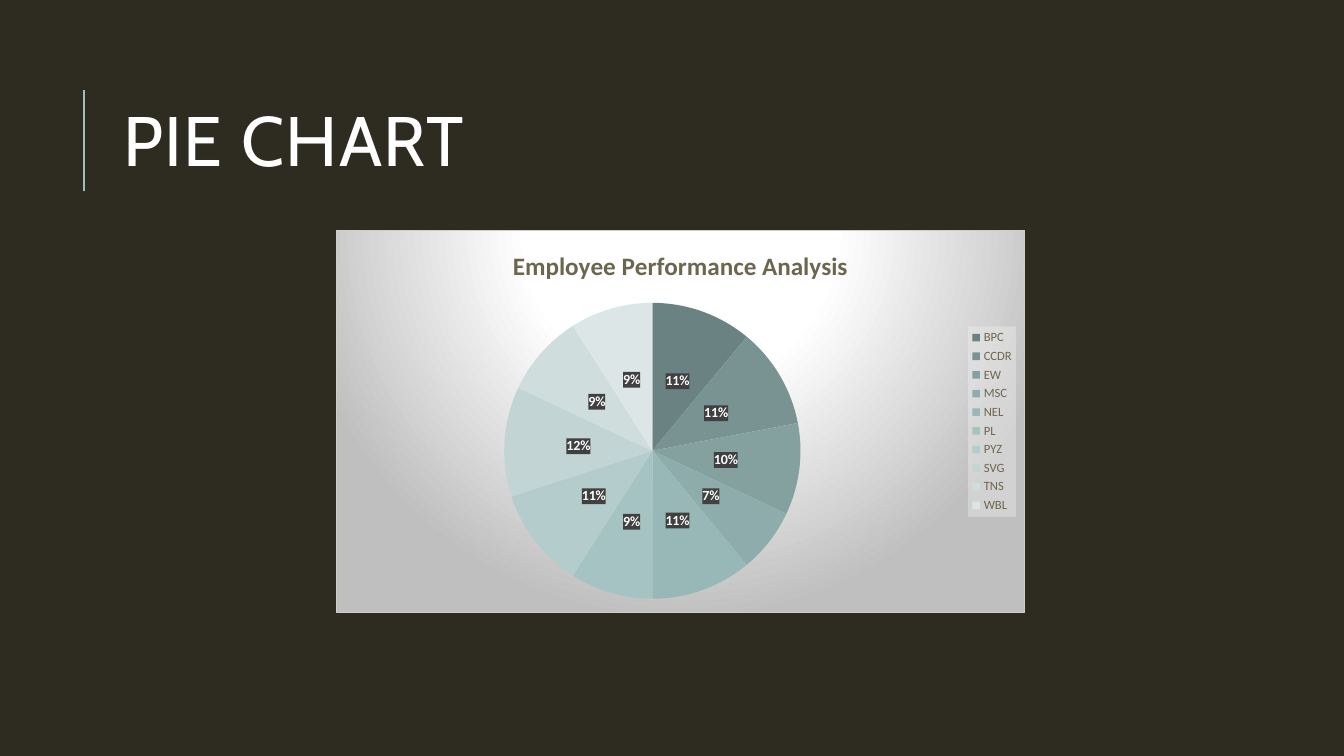
from lxml.etree import SubElement
from pptx import Presentation
from pptx.chart.data import CategoryChartData
from pptx.dml.color import RGBColor
from pptx.enum.chart import XL_CHART_TYPE as ChartType
from pptx.enum.chart import XL_LABEL_POSITION as LabelPosition
from pptx.enum.chart import XL_LEGEND_POSITION as LegendPosition
from pptx.enum.shapes import MSO_CONNECTOR as Connector
from pptx.enum.text import MSO_ANCHOR as Anchor
from pptx.oxml import parse_xml
from pptx.oxml.ns import nsdecls, qn
from pptx.util import Pt

PX = 9525
BACKGROUND = RGBColor(0x2E, 0x2B, 0x21)
ACCENT = RGBColor(0x9C, 0xBE, 0xBD)
WHITE = RGBColor(0xFF, 0xFF, 0xFF)
CHART_TEXT = RGBColor(0x6D, 0x66, 0x4E)
SLICES = [
    ("BPC", 11, RGBColor(0x6B, 0x82, 0x82)),
    ("CCDR", 11, RGBColor(0x78, 0x93, 0x92)),
    ("EW", 10, RGBColor(0x84, 0xA1, 0xA0)),
    ("MSC", 7, RGBColor(0x8E, 0xAC, 0xAC)),
    ("NEL", 11, RGBColor(0x97, 0xB8, 0xB7)),
    ("PL", 9, RGBColor(0xA4, 0xC3, 0xC2)),
    ("PYZ", 11, RGBColor(0xB4, 0xCC, 0xCC)),
    ("SVG", 12, RGBColor(0xC2, 0xD5, 0xD4)),
    ("TNS", 9, RGBColor(0xCF, 0xDE, 0xDD)),
    ("WBL", 9, RGBColor(0xDC, 0xE6, 0xE6)),
]
CHART_FILL = """<a:gradFill>
  <a:gsLst>
    <a:gs pos="0"><a:srgbClr val="FFFFFF"/></a:gs>
    <a:gs pos="39000"><a:srgbClr val="FFFFFF"/></a:gs>
    <a:gs pos="100000"><a:srgbClr val="BFBFBF"/></a:gs>
  </a:gsLst>
  <a:path path="circle"><a:fillToRect l="50000" t="-80000" r="50000" b="180000"/></a:path>
</a:gradFill>
<a:ln w="9525"><a:solidFill><a:srgbClr val="D2CEC0"/></a:solidFill></a:ln>"""
LABEL_FILL = '<a:solidFill><a:srgbClr val="404040"/></a:solidFill>'
LEGEND_FILL = """<a:solidFill>
  <a:srgbClr val="F2F2F2"><a:alpha val="39000"/></a:srgbClr>
</a:solidFill>"""


def style_font(font, name, size, color, bold=False):
    """Set the typeface, size, colour and weight of a font."""
    font.name = name
    font.size = Pt(size)
    font.color.rgb = color
    font.bold = bold


def paint_chart_part(part, fill):
    """Give a chart part its fill, ahead of its text properties."""
    properties = parse_xml(f'<c:spPr {nsdecls("c", "a")}>{fill}</c:spPr>')
    part.find(qn("c:txPr")).addprevious(properties)


def add_heading(slide, left, top, width, height, text):
    """Place the slide heading with the accent rule on its left."""
    rule_left, rule_top = left - 28, top + 25
    rule = slide.shapes.add_connector(
        Connector.STRAIGHT, rule_left * PX, (rule_top + 96) * PX, rule_left * PX, rule_top * PX)
    rule.line.color.rgb = ACCENT
    rule.line.width = Pt(1.5)
    SubElement(rule._element.spPr, qn("a:effectLst"))

    heading = slide.shapes.add_textbox(left * PX, top * PX, width * PX, height * PX)
    frame = heading.text_frame
    frame.word_wrap = True
    frame.vertical_anchor = Anchor.MIDDLE
    frame.text = text
    paragraph = frame.paragraphs[0]
    paragraph.line_spacing = 0.8
    font = paragraph.runs[0].font
    style_font(font, "Cabin", 50, WHITE)
    font._element.set("spc", "100")


def add_pie(slide, left, top, width, height, title):
    """Place the pie chart with its title, percentages and legend."""
    data = CategoryChartData()
    data.categories = [name for name, _, _ in SLICES]
    data.add_series("Series 1", [value for _, value, _ in SLICES])
    chart = slide.shapes.add_chart(
        ChartType.PIE, left * PX, top * PX, width * PX, height * PX, data).chart
    style_font(chart.font, "Calibri", 10, WHITE)
    paint_chart_part(chart._chartSpace, CHART_FILL)

    chart.has_title = True
    title_frame = chart.chart_title.text_frame
    title_frame.text = title
    style_font(title_frame.paragraphs[0].runs[0].font, "Calibri", 18, CHART_TEXT, bold=True)
    chart.chart_title.include_in_layout = False

    chart.has_legend = True
    legend = chart.legend
    legend.position = LegendPosition.RIGHT
    legend.include_in_layout = False
    style_font(legend.font, "Calibri", 9, CHART_TEXT)
    paint_chart_part(legend._element, LEGEND_FILL)

    plot = chart.plots[0]
    plot.vary_by_categories = True
    series = plot.series[0]
    for index, (_, _, color) in enumerate(SLICES):
        fill = series.points[index].format.fill
        fill.solid()
        fill.fore_color.rgb = color

    labels = series.data_labels
    labels.show_value = False
    labels.show_percentage = True
    labels.number_format = "0%"
    labels.number_format_is_linked = False
    labels.position = LabelPosition.CENTER
    style_font(labels.font, "Calibri", 10, WHITE, bold=True)
    paint_chart_part(labels._element, LABEL_FILL)


def main():
    """Build the slide and save the presentation."""
    presentation = Presentation()
    presentation.slide_width = 1280 * PX
    presentation.slide_height = 720 * PX
    slide = presentation.slides.add_slide(presentation.slide_layouts[6])
    slide.background.fill.solid()
    slide.background.fill.fore_color.rgb = BACKGROUND
    add_heading(slide, 108, 61, 1020, 157, "PIE CHART")
    add_pie(slide, 320, 219, 656, 365, "Employee Performance Analysis")
    presentation.save("out.pptx")


if __name__ == "__main__":
    main()
